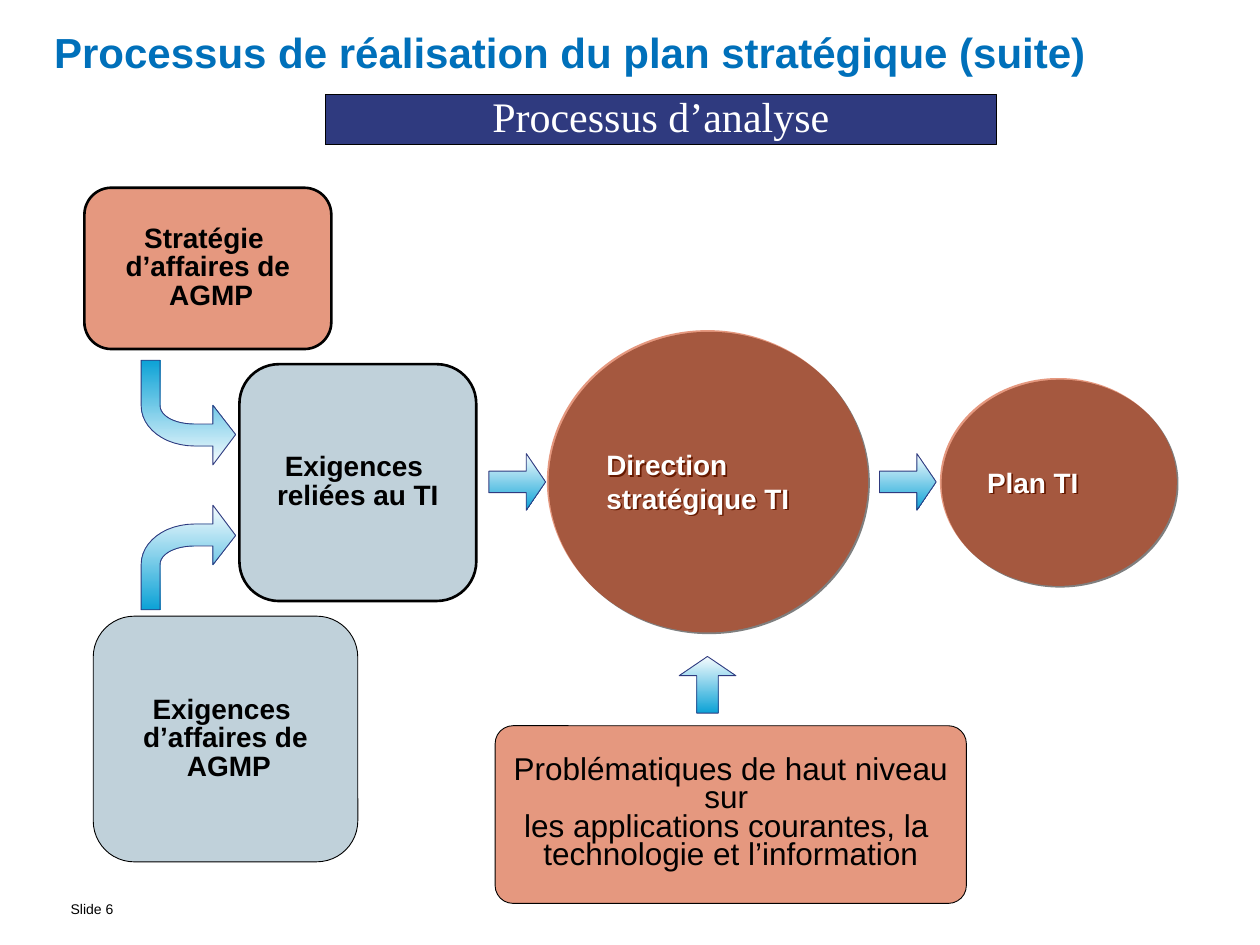
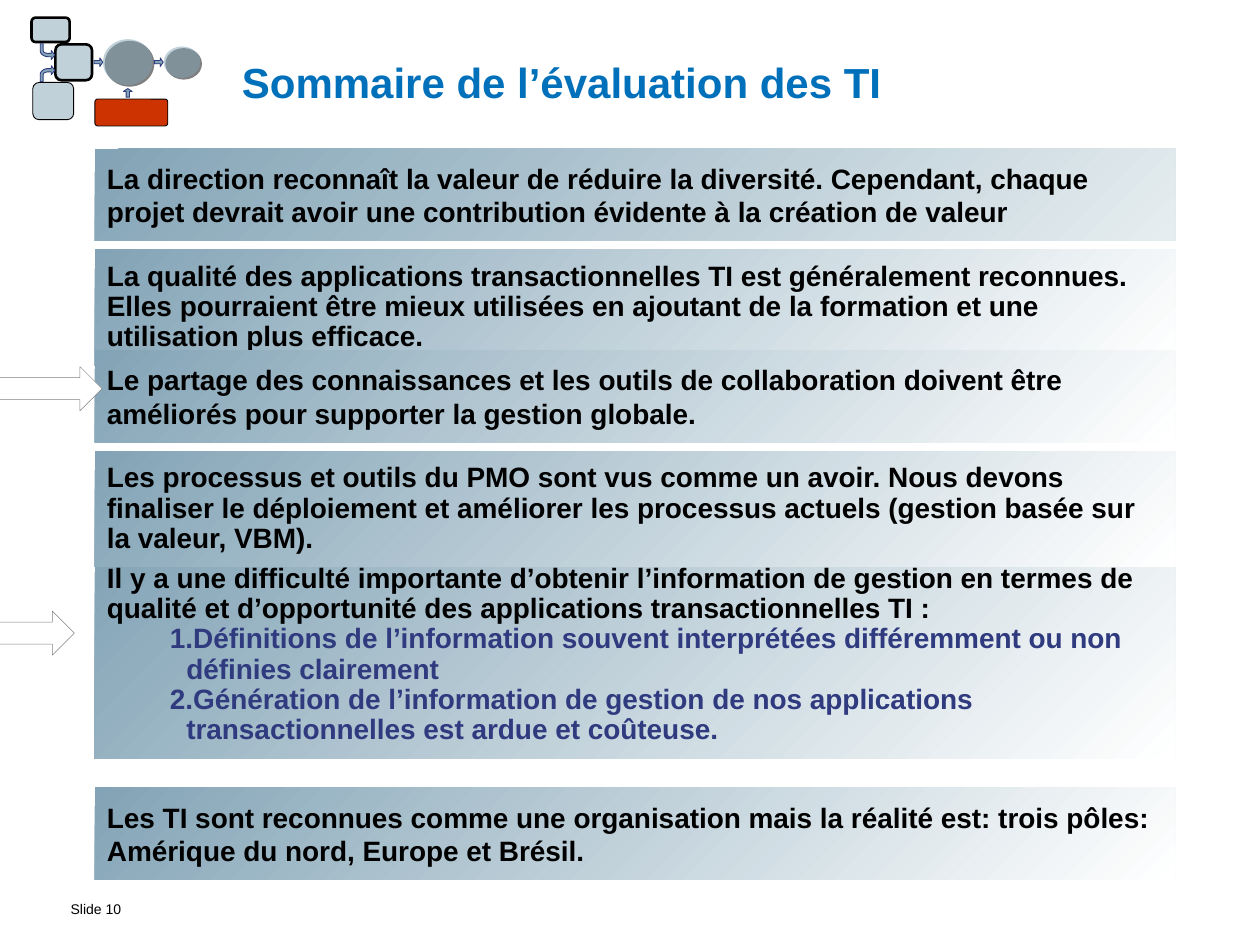
from dataclasses import dataclass

from lxml.etree import SubElement
from pptx import Presentation
from pptx.dml.color import RGBColor as Rgb
from pptx.enum.shapes import MSO_SHAPE as Shape
from pptx.enum.text import MSO_ANCHOR as Anchor, MSO_AUTO_SIZE as AutoSize, PP_ALIGN as Align
from pptx.oxml.ns import qn
from pptx.util import Inches, Pt


@dataclass(frozen=True)
class Theme:
    """Colours, fonts and type sizes shared by the slides."""
    title: str = "0070BA"
    navy: str = "2F3A7F"
    red: str = "CC3300"
    steel: str = "83A4B6"
    sky: tuple = ("F7FCFE", "0CA2D6")
    band_end: str = "FFFFFF"
    first_band_end: str = "E6EDF0"
    black: str = "000000"
    white: str = "FFFFFF"
    grey: str = "808080"
    sans: str = "Arial"
    serif: str = "Times New Roman"
    heading_size: int = 24
    large_size: int = 18
    body_size: int = 16
    footer_size: int = 8


THEME = Theme()


@dataclass(frozen=True)
class Box:
    """A rectangle in inches."""
    left: float
    top: float
    width: float
    height: float

    def emu(self):
        """Return the four lengths for a shape call."""
        return tuple(Inches(n) for n in (self.left, self.top, self.width, self.height))

    def inner(self, left, top, width, height, design):
        """Return an inner box given in design units."""
        across, down = self.width / design[0], self.height / design[1]
        return Box(self.left + left * across, self.top + top * down, width * across, height * down)


@dataclass(frozen=True)
class Node:
    """One step of the process diagram, in diagram units."""
    place: tuple
    lines: tuple
    kind: str
    round: float = 0.167
    line: float = 0.5
    spacing: float = 0.85


@dataclass(frozen=True)
class Look:
    """The fills of one rendering of the process diagram."""
    strategy: tuple
    needs: tuple
    outcome: tuple
    issues: tuple
    arrow: tuple
    labelled: bool


DIAGRAM = (8.67, 5.68)
NODES = (
    Node((0, 0, 1.96, 1.28), ("Stratégie ", "d’affaires de", " AGMP"), "strategy", line=1.5),
    Node((3.26, 4.27, 3.74, 1.41),
         ("Problématiques de haut niveau sur ", "les applications courantes, la ",
          "technologie et l’information"), "issues", round=0.101, spacing=0.75),
    Node((3.67, 1.13, 2.55, 2.4), ("Direction", "stratégique TI"), "outcome"),
    Node((1.23, 1.4, 1.88, 1.88), ("Exigences ", "reliées au TI"), "needs", line=1.5),
    Node((6.79, 1.51, 1.88, 1.65), ("Plan TI",), "outcome"),
    Node((0.07, 3.4, 2.1, 1.95), ("Exigences ", "d’affaires de", " AGMP"), "needs"),
)
ARROWS = (
    ((6.31, 2.11, 0.45, 0.45), Shape.RIGHT_ARROW),
    ((3.21, 2.11, 0.45, 0.45), Shape.RIGHT_ARROW),
    ((4.72, 3.72, 0.45, 0.45), Shape.UP_ARROW),
)
BENDS = (((0.45, 2.52, 0.75, 0.83), False), ((0.45, 1.37, 0.75, 0.83), True))
FULL_LOOK = Look((THEME.red, 50), (THEME.steel, 50), (THEME.red, 50), (THEME.red, 50),
                 THEME.sky, True)
ICON_LOOK = Look((THEME.steel, 50), (THEME.steel, 50), (THEME.steel, 50), (THEME.red, 100),
                 (THEME.steel,), False)

BANDS = (
    (4.38, 1.64, 0.9, "Il y a une difficulté importante d’obtenir l’information de gestion en "
     "termes de qualité et d’opportunité des applications transactionnelles TI :",
     ("Définitions de l’information souvent interprétées différemment ou non définies clairement",
      "Génération de l’information de gestion de nos applications transactionnelles est ardue "
      "et coûteuse."), THEME.band_end),
    (6.25, 0.73, 1.0, "Les TI sont reconnues comme une organisation mais la réalité est: trois "
     "pôles: Amérique du nord, Europe et Brésil.", (), THEME.band_end),
    (1.98, 0.92, 0.9, "La qualité des applications transactionnelles TI est généralement "
     "reconnues. Elles pourraient être mieux utilisées en ajoutant de la formation et une "
     "utilisation plus efficace.", (), THEME.band_end),
    (3.58, 0.92, 0.9, "Les processus et outils du PMO sont vus comme un avoir. Nous devons "
     "finaliser le déploiement et améliorer les processus actuels (gestion basée sur la "
     "valeur, VBM).", (), THEME.band_end),
    (2.78, 0.73, 1.0, "Le partage des connaissances et les outils de collaboration doivent être "
     "améliorés pour supporter la gestion globale.", (), THEME.band_end),
    (1.18, 0.73, 1.0, "La direction reconnaît la valeur de réduire la diversité. Cependant, "
     "chaque projet devrait avoir une contribution évidente à la création de valeur", (),
     THEME.first_band_end),
)


def paint(shape, colours, angle=270, line=None, weight=0.5):
    """Fill a shape with one colour or two graded ones, and set its outline."""
    shape.shadow.inherit = False
    if len(colours) == 1:
        shape.fill.solid()
        shape.fill.fore_color.rgb = Rgb.from_string(colours[0])
    else:
        shape.fill.gradient()
        shape.fill.gradient_angle = angle
        for stop, colour in zip(shape.fill.gradient_stops, colours):
            stop.color.rgb = Rgb.from_string(colour)
    if line:
        shape.line.color.rgb = Rgb.from_string(line)
        shape.line.width = Pt(weight)
    else:
        shape.line.fill.background()


def fade(shape, opacity):
    """Make a solid fill partly transparent."""
    colour = shape.element.spPr.find(qn("a:solidFill")).find(qn("a:srgbClr"))
    SubElement(colour, qn("a:alpha"), val=str(opacity * 1000))


def cast_shadow(shape):
    """Give a shape a short hard shadow to the lower right."""
    effects = shape.element.spPr.find(qn("a:effectLst"))
    shadow = SubElement(effects, qn("a:outerShdw"), dist=str(Pt(1.4)), dir="2700000",
                        algn="ctr", rotWithShape="0")
    SubElement(shadow, qn("a:srgbClr"), val=THEME.black)


def number(para):
    """Turn a paragraph into an indented numbered item."""
    props = para._p.get_or_add_pPr()
    props.set("marL", str(Inches(0.63)))
    props.set("indent", str(Inches(-0.13)))
    SubElement(SubElement(props, qn("a:buClr")), qn("a:srgbClr"), val=THEME.navy)
    SubElement(props, qn("a:buAutoNum"), type="arabicPeriod")


def style(para, size, colour, bold=False, face=THEME.sans, align=Align.LEFT, spacing=1.0):
    """Set the type and the spacing of a paragraph."""
    para.alignment = align
    para.line_spacing = spacing
    para.font.size = Pt(size)
    para.font.bold = bold
    para.font.name = face
    para.font.color.rgb = Rgb.from_string(colour)


def write(shape, lines, anchor=Anchor.MIDDLE, wrap=False, insets=(0.1, 0.05), **type_style):
    """Write one styled paragraph for each line."""
    frame = shape.text_frame
    frame.word_wrap = wrap
    frame.auto_size = AutoSize.NONE
    frame.vertical_anchor = anchor
    frame.margin_left = frame.margin_right = Inches(insets[0])
    frame.margin_top = frame.margin_bottom = Inches(insets[1])
    for index, line in enumerate(lines):
        para = frame.paragraphs[0] if index == 0 else frame.add_paragraph()
        para.text = line
        style(para, **type_style)
    return frame


def add_page(deck, title, box, footer):
    """Add a title-only slide with its title and footer."""
    page = deck.slides.add_slide(deck.slide_layouts[5])
    heading = page.shapes.title
    heading.left, heading.top, heading.width, heading.height = box.emu()
    write(heading, (title,), wrap=True, insets=(0, 0), size=THEME.heading_size,
          colour=THEME.title, bold=True)
    note = page.shapes.add_textbox(*Box(0.56, 7.12, 0.89, 0.22).emu())
    frame = write(note, (footer,), Anchor.TOP, insets=(0, 0.05), size=THEME.footer_size,
                  colour=THEME.black, spacing=0.85)
    frame.paragraphs[0].space_before = Pt(5)
    return page


def curve(start, first, second, end, steps=12):
    """Return the points of a cubic curve after its start."""
    result = []
    for step in range(1, steps + 1):
        t = step / steps
        weights = ((1 - t) ** 3, 3 * t * (1 - t) ** 2, 3 * t * t * (1 - t), t ** 3)
        result.append(tuple(sum(w * p[axis] for w, p in zip(weights, (start, first, second, end)))
                            for axis in (0, 1)))
    return result


def draw_bend(shapes, box, downward, colours):
    """Draw a bent arrow that ends to the right."""
    outline = [(1, 0.29), (0.76, 0), (0.76, 0.18), (0.57, 0.18),
               *curve((0.57, 0.18), (0.25, 0.18), (0, 0.35), (0, 0.57)),
               (0, 1), (0.2, 1), (0.2, 0.57),
               *curve((0.2, 0.57), (0.2, 0.46), (0.37, 0.39), (0.57, 0.39)),
               (0.76, 0.39), (0.76, 0.57)]
    points = [(Inches(box.left + x * box.width),
               Inches(box.top + (1 - y if downward else y) * box.height)) for x, y in outline]
    builder = shapes.build_freeform(*points[0])
    builder.add_line_segments(points[1:], close=True)
    paint(builder.convert_to_shape(), colours, 90 if downward else 270, THEME.navy)


def draw_node(shapes, box, node, look):
    """Draw one step of the process and its label."""
    oval = node.kind == "outcome"
    shape = shapes.add_shape(Shape.OVAL if oval else Shape.ROUNDED_RECTANGLE, *box.emu())
    colour, opacity = getattr(look, node.kind)
    paint(shape, (colour,), line=None if oval else THEME.black, weight=node.line)
    if opacity < 100:
        fade(shape, opacity)
    if oval:
        cast_shadow(shape)
    else:
        shape.adjustments[0] = node.round
    if look.labelled:
        issues = node.kind == "issues"
        write(shape, node.lines, wrap=issues, bold=not issues,
              size=THEME.large_size if issues else THEME.body_size,
              colour=THEME.white if oval else THEME.black,
              align=Align.LEFT if oval else Align.CENTER,
              spacing=1.0 if oval else node.spacing)


def draw_process(shapes, box, look):
    """Draw the whole process diagram, scaled to the box."""
    for node in NODES:
        draw_node(shapes, box.inner(*node.place, DIAGRAM), node, look)
    for place, kind in ARROWS:
        arrow = shapes.add_shape(kind, *box.inner(*place, DIAGRAM).emu())
        arrow.adjustments[0], arrow.adjustments[1] = 0.38, 0.34
        paint(arrow, look.arrow, line=THEME.navy)
    for place, downward in BENDS:
        draw_bend(shapes, box.inner(*place, DIAGRAM), downward, look.arrow)


def draw_banner(shapes, box, text):
    """Draw the navy heading band."""
    banner = shapes.add_shape(Shape.RECTANGLE, *box.emu())
    paint(banner, (THEME.navy,), line=THEME.black)
    write(banner, (text,), size=THEME.heading_size, colour=THEME.white, face=THEME.serif,
          align=Align.CENTER, spacing=0.85)


def draw_band(shapes, box, spacing, text, items, end):
    """Draw a graded finding with its numbered items."""
    band = shapes.add_shape(Shape.RECTANGLE, *box.emu())
    paint(band, (THEME.steel, end), angle=315)
    frame = write(band, (text,), Anchor.TOP, True, (0.1, 0.1), size=THEME.body_size,
                  colour=THEME.black, bold=True, spacing=spacing)
    for item in items:
        para = frame.add_paragraph()
        para.text = item
        number(para)
        style(para, THEME.body_size, THEME.navy, bold=True, spacing=spacing)


def draw_pointer(shapes, box):
    """Draw a white arrow that enters from the left edge."""
    pointer = shapes.add_shape(Shape.RIGHT_ARROW, *box.emu())
    paint(pointer, (THEME.white,), line=THEME.grey, weight=0.25)


def build_process_page(deck):
    """Build the slide of the analysis process."""
    page = add_page(deck, "Processus de réalisation du plan stratégique (suite)",
                    Box(0.43, 0.16, 8.6, 0.5), "Slide 6")
    draw_process(page.shapes, Box(0.67, 1.49, *DIAGRAM), FULL_LOOK)
    draw_banner(page.shapes, Box(2.58, 0.75, 5.33, 0.4), "Processus d’analyse")


def build_summary_page(deck):
    """Build the slide of the assessment findings."""
    page = add_page(deck, "Sommaire de l’évaluation des TI", Box(1.92, 0.33, 7.4, 0.64),
                    "Slide 10")
    draw_process(page.shapes.add_group_shape().shapes, Box(0.25, 0.14, 1.34, 0.86), ICON_LOOK)
    for top, height, *content in BANDS:
        draw_band(page.shapes, Box(0.75, top, 8.58, height), *content)
    for left, top in ((-0.74, 2.91), (-0.96, 4.85)):
        draw_pointer(page.shapes, Box(left, top, 1.55, 0.35))


def main():
    """Build and save the deck."""
    deck = Presentation()
    deck.slide_width, deck.slide_height = Inches(10), Inches(7.5)
    build_process_page(deck)
    build_summary_page(deck)
    deck.save("out.pptx")


if __name__ == "__main__":
    main()
